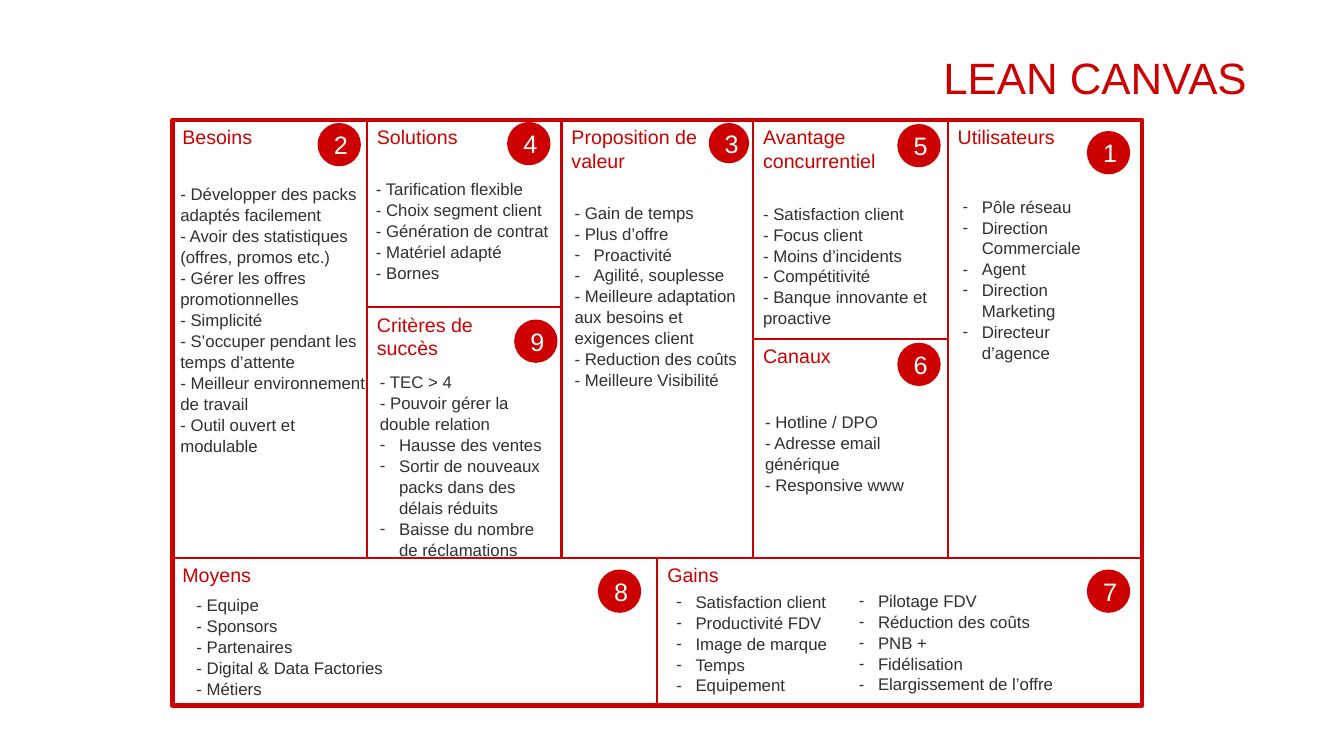
from lxml import etree
from pptx import Presentation
from pptx.dml.color import RGBColor
from pptx.enum.shapes import MSO_SHAPE
from pptx.enum.text import MSO_ANCHOR, PP_ALIGN
from pptx.oxml.ns import qn
from pptx.util import Inches, Pt

RECT, OVAL = MSO_SHAPE.RECTANGLE, MSO_SHAPE.OVAL
TOP, MIDDLE = MSO_ANCHOR.TOP, MSO_ANCHOR.MIDDLE
LEFT, CENTER, RIGHT = PP_ALIGN.LEFT, PP_ALIGN.CENTER, PP_ALIGN.RIGHT

COLORS = {"red": "CC0000", "dark": "303030", "white": "FFFFFF"}
# Grid edges in inches; the column edge at 6.52 only splits the bottom row
COLS = [1.71, 3.64, 5.57, 6.52, 7.47, 9.4, 11.33]
ROWS = [1.19, 3.05, 3.36, 5.54, 7.0]
INDENT = 0.19

# Cards: heading, (first col, last col, first row, last row),
# badge (number, offset from right, offset from top, size),
# lists (offset from left, offset from top, width, height, lines);
# a line that starts with "* " has a hanging dash
CARDS = [
    ("Moyens", (0, 3, 3, 4), ("8", 0.59, 0.11, 0.43), [
        (0.14, 0.3, 2.54, 1.11, ["- Equipe", "- Sponsors", "- Partenaires",
                                 "- Digital & Data Factories", "- Métiers"])]),
    ("Gains", (3, 6, 3, 4), ("7", 0.55, 0.11, 0.43), [
        (0.09, 0.27, 2.12, 1.11, ["* Satisfaction client", "* Productivité FDV",
                                  "* Image de marque", "* Temps", "* Equipement"]),
        (1.9, 0.26, 2.36, 1.11, ["* Pilotage FDV", "* Réduction des coûts", "* PNB +",
                                 "* Fidélisation", "* Elargissement de l’offre"])]),
    ("Besoins", (0, 1, 0, 3), ("2", 0.49, 0.03, 0.43), [
        (-0.02, 0.58, 2.05, 2.73, [
            "- Développer des packs adaptés facilement",
            "- Avoir des statistiques (offres, promos etc.)",
            "- Gérer les offres promotionnelles", "- Simplicité",
            "- S’occuper pendant les temps d’attente",
            "- Meilleur environnement de travail",
            "- Outil ouvert et modulable"])]),
    ("Solutions", (1, 2, 0, 1), ("4", 0.54, 0.02, 0.43), [
        (-0.01, 0.53, 1.94, 1.11, [
            "- Tarification flexible", "- Choix segment client",
            "- Génération de contrat", "- Matériel adapté", "- Bornes"])]),
    ("Critères de\nsuccès", (1, 2, 1, 3), ("9", 0.47, 0.12, 0.43), [
        (0.03, 0.58, 1.94, 2.12, [
            "- TEC > 4", "- Pouvoir gérer la double relation",
            "* Hausse des ventes",
            "* Sortir de nouveaux packs dans des délais réduits",
            "* Baisse du nombre de réclamations"])]),
    ("Proposition de valeur", (2, 4, 0, 3), ("3", 0.44, 0.03, 0.4), [
        (0.03, 0.76, 1.95, 2.12, [
            "- Gain de temps", "- Plus d’offre", "* Proactivité",
            "* Agilité, souplesse",
            "- Meilleure adaptation aux besoins et exigences client",
            "- Reduction des coûts", "- Meilleure Visibilité"])]),
    ("Avantage concurrentiel", (4, 5, 0, 2), ("5", 0.5, 0.04, 0.43), [
        (0, 0.77, 1.94, 1.31, [
            "- Satisfaction client", "- Focus client", "- Moins d’incidents",
            "- Compétitivité", "- Banque innovante et proactive"])]),
    ("Canaux", (4, 5, 2, 3), ("6", 0.5, 0.04, 0.43), [
        (0.02, 0.67, 1.94, 1.11, ["- Hotline / DPO", "- Adresse email générique",
                                  "- Responsive www"])]),
    ("Utilisateurs", (5, 6, 0, 3), ("1", 0.55, 0.11, 0.43), [
        (0.05, 0.7, 1.77, 1.72, [
            "* Pôle réseau", "* Direction Commerciale", "* Agent",
            "* Direction Marketing", "* Directeur d’agence"])]),
]


class Canvas:
    font = "Arial"

    def __init__(self, slide):
        self.slide = slide

    def color(self, name):
        return RGBColor.from_string(COLORS[name])

    def put_text(self, frame, lines, size, color, align=LEFT, anchor=TOP, space=1.0):
        for key, val in {"word_wrap": True, "vertical_anchor": anchor}.items():
            setattr(frame, key, val)
        for num, line in enumerate(lines):
            para = frame.add_paragraph() if num else frame.paragraphs[0]
            para.alignment, para.line_spacing = align, space
            run = para.add_run()
            run.text = line.removeprefix("* ")
            for key, val in {"name": self.font, "size": Pt(size), "bold": False}.items():
                setattr(run.font, key, val)
            run.font.color.rgb = self.color(color)
            if line.startswith("* "):
                self.dash(para)

    def dash(self, para):
        props = para._p.get_or_add_pPr()
        props.set("marL", str(Inches(INDENT)))
        props.set("indent", str(-Inches(INDENT)))
        etree.SubElement(props, qn("a:buFont")).set("typeface", self.font)
        etree.SubElement(props, qn("a:buChar")).set("char", "-")

    def title(self, text, *area):
        shape = self.slide.shapes.title
        for key, val in zip(("left", "top", "width", "height"), area):
            setattr(shape, key, Inches(val))
        self.put_text(shape.text_frame, [text], 54, "red", RIGHT, MIDDLE)
        run = shape.text_frame.paragraphs[0].runs[0]
        run._r.get_or_add_rPr().set("baseline", "12000")

    def shape(self, kind, *area):
        shape = self.slide.shapes.add_shape(kind, *map(Inches, area))
        shape.shadow.inherit = False
        return shape

    def cell(self, span, weight, text=""):
        left, right, top, base = span
        x, y = COLS[left], ROWS[top]
        shape = self.shape(RECT, x, y, COLS[right] - x, ROWS[base] - y)
        shape.fill.background()
        shape.line.color.rgb = self.color("red")
        shape.line.width = Pt(weight)
        if text:
            self.put_text(shape.text_frame, text.split("\n"), 14, "red")

    def badge(self, span, text, back, down, size):
        shape = self.shape(OVAL, COLS[span[1]] - back, ROWS[span[2]] + down, size, size)
        shape.fill.solid()
        shape.fill.fore_color.rgb = self.color("red")
        shape.line.fill.background()
        self.put_text(shape.text_frame, [text], 18, "white", CENTER, MIDDLE)

    def list(self, span, right, down, width, height, lines):
        area = (COLS[span[0]] + right, ROWS[span[2]] + down, width, height)
        box = self.slide.shapes.add_textbox(*map(Inches, area))
        self.put_text(box.text_frame, lines, 12, "dark", space=1.04)


def main():
    deck = Presentation()
    deck.slide_width, deck.slide_height = Inches(13.33), Inches(7.5)
    canvas = Canvas(deck.slides.add_slide(deck.slide_layouts[5]))
    canvas.title("LEAN CANVAS", 1.01, 0.42, 11.46, 0.61)

    # Cells and outer frame
    for text, span, _, _ in CARDS:
        canvas.cell(span, 1.5, text)
    canvas.cell((0, 6, 0, 4), 3)

    # Numbers and lists
    for _, span, badge, lists in CARDS:
        canvas.badge(span, *badge)
        for item in lists:
            canvas.list(span, *item)
    deck.save("out.pptx")


if __name__ == "__main__":
    main()
